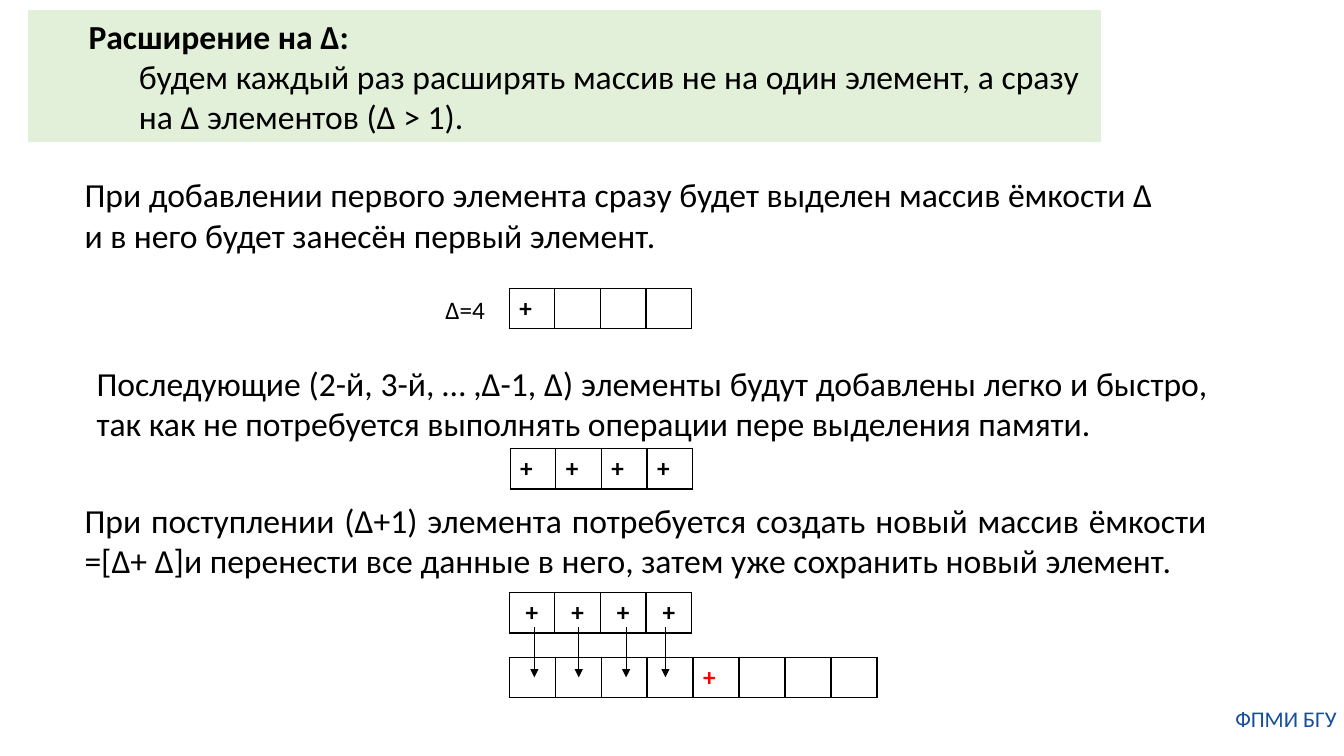
from pptx import Presentation
from pptx.dml.color import RGBColor
from pptx.enum.shapes import MSO_CONNECTOR as LINE, MSO_SHAPE as SHAPE
from pptx.enum.text import MSO_ANCHOR as ANCHOR, PP_ALIGN as ALIGN
from pptx.oxml.ns import qn
from pptx.util import Pt
from lxml.etree import SubElement as sub, Element

PX = 9144
FONT = "Calibri"
BLACK = RGBColor(0, 0, 0)
WHITE = RGBColor(255, 255, 255)
RED = RGBColor(255, 0, 0)
GREEN = RGBColor(0xE2, 0xF0, 0xD9)
BLUE = RGBColor(0x14, 0x4E, 0x9D)


def px(*nums):
    return [n * PX for n in nums]


def write(par, text, size=24, color=BLACK, bold=False, align=ALIGN.LEFT, indent=0):
    props = par._p.get_or_add_pPr()
    props.set("marL", str(indent * PX))
    props.set("indent", "0")
    par.alignment = align
    run = par.add_run()
    run.text = text
    font = run.font
    font.name, font.size, font.bold = FONT, Pt(size), bold
    font.color.rgb = color


def label(slide, box, text, wrap=True, pad=True, **style):
    frame = slide.shapes.add_textbox(*px(*box)).text_frame
    frame.word_wrap = wrap
    if not pad:
        frame.margin_left = frame.margin_right = 0
        frame.margin_top = frame.margin_bottom = 0
    write(frame.paragraphs[0], text, **style)


def banner(slide, box, title, body):
    shape = slide.shapes.add_shape(SHAPE.RECTANGLE, *px(*box))
    shape.shadow.inherit = False
    shape.fill.solid()
    shape.fill.fore_color.rgb = GREEN
    shape.line.fill.background()
    frame = shape.text_frame
    frame.word_wrap = True
    frame.vertical_anchor = ANCHOR.MIDDLE
    write(frame.paragraphs[0], title, bold=True, indent=50)
    write(frame.add_paragraph(), body, indent=100)


def border(cell):
    props = cell._tc.get_or_add_tcPr()
    for spot, side in enumerate(("lnL", "lnR", "lnT", "lnB")):
        edge = Element(qn(f"a:{side}"), w=str(Pt(1)))
        fill = sub(edge, qn("a:solidFill"))
        sub(fill, qn("a:srgbClr"), val=str(BLACK))
        props.insert(spot, edge)


def array(slide, box, marks, fill=None, **style):
    table = slide.shapes.add_table(1, len(marks), *px(*box)).table
    table.first_row = table.horz_banding = False
    for cell, mark in zip(table.iter_cells(), marks):
        if fill is None:
            cell.fill.background()
        else:
            cell.fill.solid()
            cell.fill.fore_color.rgb = fill
        border(cell)
        if mark.strip():
            write(cell.text_frame.paragraphs[0], mark, size=18, bold=True, **style)


def arrow(slide, x, top, end):
    link = slide.shapes.add_connector(LINE.STRAIGHT, *px(x, top, x, end))
    link.line.color.rgb = BLACK
    link.line.width = Pt(0.5)
    props = link._element.spPr
    sub(props.find(qn("a:ln")), qn("a:tailEnd"), type="triangle")
    sub(props, qn("a:effectLst"))


def main():
    deck = Presentation()
    deck.slide_width, deck.slide_height = px(1333, 750)
    slide = deck.slides.add_slide(deck.slide_layouts[6])

    banner(slide, (28, 10, 1064, 131), "Расширение на Δ:",
           "будем каждый раз расширять массив не на один элемент, "
           "а сразу на ∆ элементов (∆ > 1).")
    label(slide, (24, 168, 1139, 91),
          "При добавлении первого элемента сразу будет выделен массив "
          "ёмкости ∆ и в него будет занесён первый элемент.", indent=50)
    label(slide, (36, 355, 1172, 91),
          "Последующие (2-й, 3-й, … ,∆-1, ∆) элементы будут добавлены "
          "легко и быстро, так как не потребуется выполнять операции "
          "пере выделения памяти.", align=ALIGN.JUSTIFY, indent=50)
    label(slide, (24, 491, 1183, 91),
          "При поступлении (∆+1) элемента потребуется создать новый "
          "массив ёмкости =[∆+ ∆]и перенести все данные в него, "
          "затем уже сохранить новый элемент.", align=ALIGN.JUSTIFY, indent=50)
    label(slide, (432, 287, 60, 40), "∆=4", wrap=False, size=18)
    label(slide, (1219, 700, 113, 27), "ФПМИ БГУ", pad=False,
          size=16, color=BLUE, align=ALIGN.CENTER)

    array(slide, (505, 286, 181, 40), "+   ", fill=WHITE)
    array(slide, (506, 445, 181, 40), "++++")
    array(slide, (505, 652, 365, 40), "    +   ", color=RED)
    array(slide, (505, 588, 181, 40), "++++", align=ALIGN.CENTER)
    for x in (530, 574, 621, 660):
        arrow(slide, x, 622, 672)

    deck.save("out.pptx")


if __name__ == "__main__":
    main()
